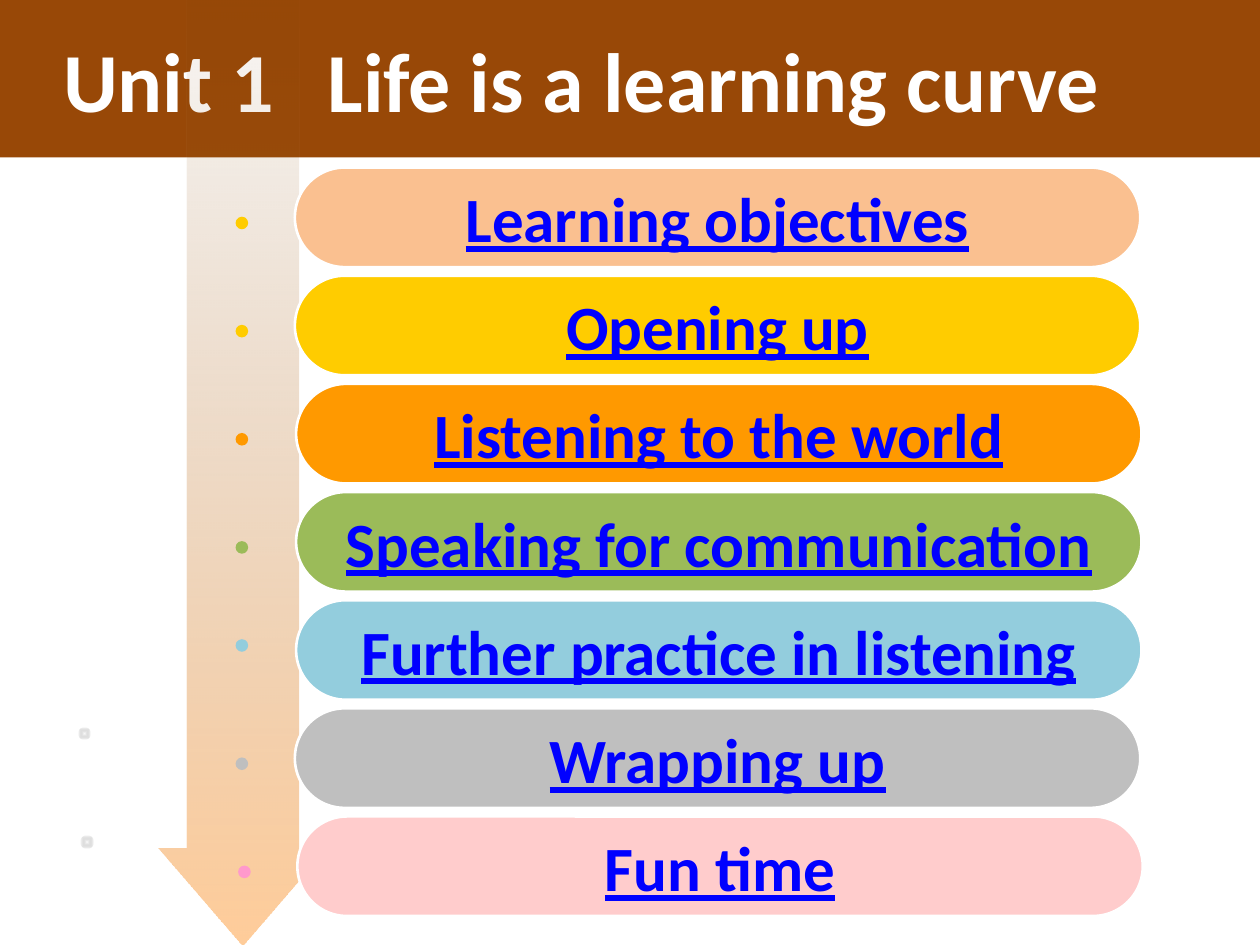
from lxml import etree
from pptx import Presentation
from pptx.dml.color import RGBColor
from pptx.enum.shapes import MSO_SHAPE
from pptx.enum.text import MSO_ANCHOR, MSO_AUTO_SIZE, PP_ALIGN
from pptx.oxml import parse_xml
from pptx.oxml.ns import nsdecls, qn
from pptx.util import Inches, Pt

PILL, DOT, ARROW = MSO_SHAPE.ROUNDED_RECTANGLE, MSO_SHAPE.OVAL, MSO_SHAPE.UP_ARROW
MIDDLE, LEFT, CENTER = MSO_ANCHOR.MIDDLE, PP_ALIGN.LEFT, PP_ALIGN.CENTER
NO_FIT = MSO_AUTO_SIZE.NONE

LINEAR = '<a:lin ang="5400000" scaled="1"/>'
FROM_CENTER = ('<a:path path="shape">'
               '<a:fillToRect l="50000" t="50000" r="50000" b="50000"/></a:path>')

# Text, pill colour, dot colour, pill left, dot left, dot offset from pill top
ROWS = [
    ("Learning objectives", "FAC090", "FFCC00", 2.34, 1.87, 0.39),
    ("Opening up", "FFCC00", "FFCC00", 2.34, 1.87, 0.39),
    ("Listening to the world", "FF9900", "FF9900", 2.35, 1.87, 0.39),
    ("Speaking for communication", "9BBB59", "9BBB59", 2.35, 1.87, 0.39),
    ("Further practice in listening", "93CDDD", "93CDDD", 2.35, 1.87, 0.31),
    ("Wrapping up", "BFBFBF", "BFBFBF", 2.34, 1.87, 0.39),
    ("Fun time", "FFCCCC", "FF99CC", 2.36, 1.89, 0.39),
]
FIRST_TOP, LAST_TOP = 1.33, 6.48
PITCH = (LAST_TOP - FIRST_TOP) / (len(ROWS) - 1)
# Faint dots at the far left: row index -> left
FAINT_DOTS = {5: 0.62, 6: 0.64}


def rgb(color):
    return RGBColor.from_string(color)


def write(p, text, size=36, color="0000FF", underline=None, align=CENTER):
    p.alignment = align
    r = p.add_run()
    r.text = text
    font = r.font
    font.name, font.size, font.bold = "Calibri", Pt(size), True
    font.underline = underline
    font.color.rgb = rgb(color)


def gradient(sp, stops, direction):
    """Fill with (position, colour, opacity) stops, all in percent."""
    gs = "".join(
        f'<a:gs pos="{pos * 1000}"><a:srgbClr val="{color}">'
        f'<a:alpha val="{alpha * 1000}"/></a:srgbClr></a:gs>'
        for pos, color, alpha in stops)
    fill = parse_xml(f'<a:gradFill {nsdecls("a")} rotWithShape="1">'
                     f'<a:gsLst>{gs}</a:gsLst>{direction}</a:gradFill>')
    sp._element.spPr.find(qn("a:prstGeom")).addnext(fill)


class Deck:
    def __init__(self):
        self.prs = Presentation()
        self.prs.slide_width, self.prs.slide_height = Inches(10), Inches(7.5)
        self.s = self.prs.slides.add_slide(self.prs.slide_layouts[5])

    def title(self, text, tab):
        sp = self.s.shapes.title
        sp.left, sp.top, sp.width, sp.height = 0, 0, Inches(10), Inches(1.25)
        sp.fill.solid()
        sp.fill.fore_color.rgb = rgb("984807")
        tf = sp.text_frame
        tf.auto_size, tf.vertical_anchor = NO_FIT, MIDDLE
        p = tf.paragraphs[0]
        pPr = p._p.get_or_add_pPr()
        pPr.set("marL", "0")
        pPr.set("indent", str(Inches(0.4)))
        tabs = etree.SubElement(pPr, qn("a:tabLst"))
        etree.SubElement(tabs, qn("a:tab"), pos=str(Inches(tab)), algn="l")
        write(p, text, size=48, color="FFFFFF", align=LEFT)

    def shape(self, parent, kind, left, top, width, height, fill=None):
        sp = parent.shapes.add_shape(kind, Inches(left), Inches(top),
                                     Inches(width), Inches(height))
        sp.shadow.inherit = False
        sp.line.fill.background()
        if fill:
            sp.fill.solid()
            sp.fill.fore_color.rgb = rgb(fill)
        return sp

    def arrow(self):
        sp = self.shape(self.s, ARROW, 1.26, -0.78, 1.33, 8.28)
        sp.rotation = 180
        sp.adjustments[0], sp.adjustments[1] = 0.663, 0.584
        gradient(sp, [(0, "FF9933", 50), (100, "764718", 0)], LINEAR)

    def dot(self, parent, left, top, fill=None):
        return self.shape(parent, DOT, left, top, 0.1, 0.1, fill)

    def faint_dot(self, parent, left, top):
        sp = self.dot(parent, left, top)
        gradient(sp, [(0, "FFFFFF", 50), (100, "000000", 0)], FROM_CENTER)

    def pill(self, parent, text, left, top, fill):
        sp = self.shape(parent, PILL, left, top, 6.71, 0.79, fill)
        sp.adjustments[0] = 0.5
        sp.line.color.rgb = rgb("FFFFFF")
        sp.line.width = Pt(1.5)
        tf = sp.text_frame
        tf.word_wrap, tf.vertical_anchor = False, MIDDLE
        write(tf.paragraphs[0], text, underline=True)


def main():
    deck = Deck()

    # Title band and the arrow running down through it
    deck.title("Unit 1\tLife is a learning curve", tab=2.8)
    deck.arrow()

    # One group per section of the unit
    for i, (text, fill, dot_fill, left, dot_left, dot_drop) in enumerate(ROWS):
        top = FIRST_TOP + i * PITCH
        group = deck.s.shapes.add_group_shape()
        if i in FAINT_DOTS:
            deck.faint_dot(group, FAINT_DOTS[i], top + 0.15)
        deck.pill(group, text, left, top, fill)
        deck.dot(group, dot_left, top + dot_drop, dot_fill)

    deck.prs.save("out.pptx")


if __name__ == "__main__":
    main()
